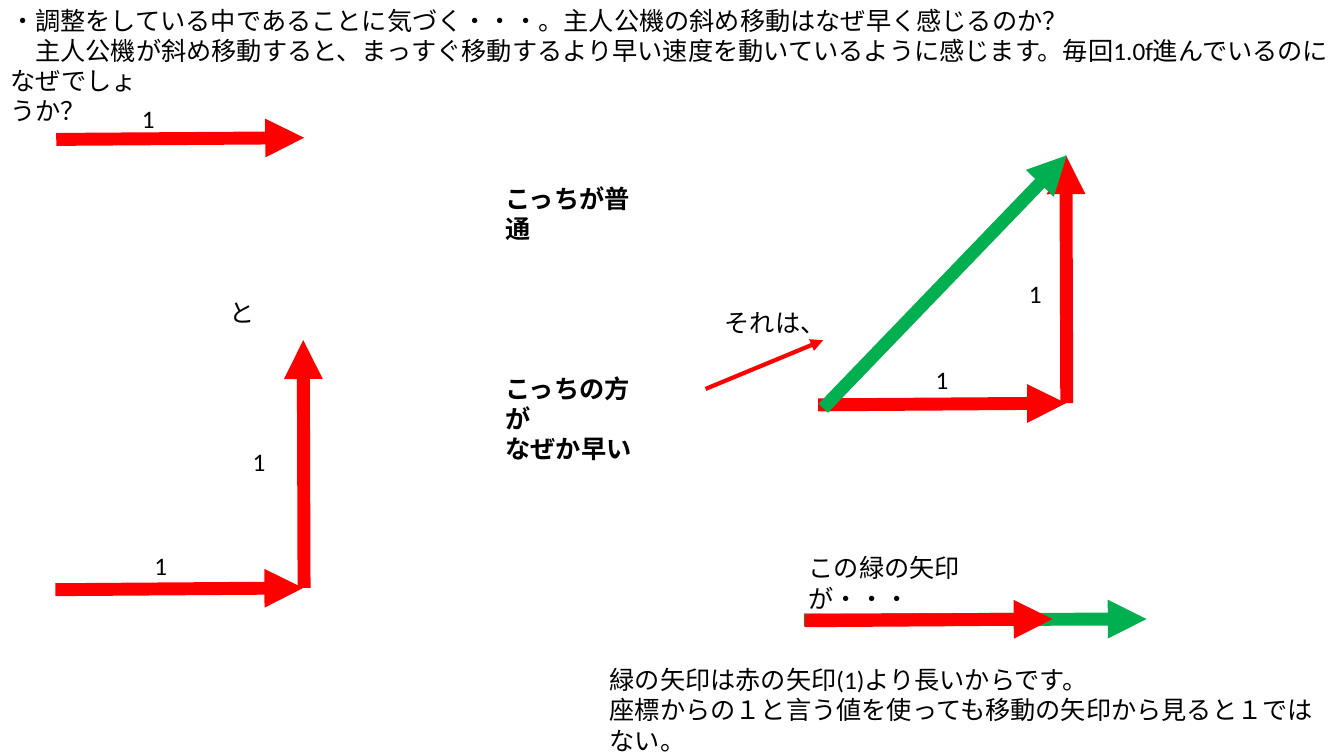
"""Slide on why diagonal movement feels faster than straight movement."""
import dataclasses

import lxml.etree
import pptx
import pptx.dml.color
import pptx.enum.shapes
import pptx.enum.text
import pptx.oxml.ns
import pptx.util


@dataclasses.dataclass(frozen=True)
class Theme:
    """Colours, font and sizes of the slide."""
    font: str = "Calibri"
    size: float = 18
    ink: str = "000000"
    red: str = "FF0000"
    green: str = "00B050"
    thick: float = 9.25
    thin: float = 3


class Board:
    """A slide on a grid of 160 columns and 90 rows."""

    def __init__(self, deck, theme):
        """Add the slide and measure one grid cell."""
        self.theme = theme
        self.slide = deck.slides.add_slide(deck.slide_layouts[5])
        self.col = deck.slide_width / 160
        self.row = deck.slide_height / 90

    def spot(self, x, y):
        """Turn a column and row into slide lengths."""
        return round(x * self.col), round(y * self.row)

    def label(self, shape, lines, bold=False):
        """Fill a shape with plain left-aligned lines."""
        frame = shape.text_frame
        frame.text = "\n".join(lines)
        frame.word_wrap = True
        frame.auto_size = pptx.enum.text.MSO_AUTO_SIZE.SHAPE_TO_FIT_TEXT
        frame.vertical_anchor = pptx.enum.text.MSO_ANCHOR.TOP
        for para in frame.paragraphs:
            para.alignment = pptx.enum.text.PP_ALIGN.LEFT
            font = para.font
            font.name = self.theme.font
            font.size = pptx.util.Pt(self.theme.size)
            font.bold = bold
            font.color.rgb = pptx.dml.color.RGBColor.from_string(self.theme.ink)

    def title(self, x, y, wide, high, *lines):
        """Place and fill the title."""
        shape = self.slide.shapes.title
        shape.left, shape.top = self.spot(x, y)
        shape.width, shape.height = self.spot(wide, high)
        self.label(shape, lines)

    def text(self, x, y, wide, *lines, bold=False):
        """Add a text box sized by its number of lines."""
        high = 1.2 + 3.6 * len(lines)
        shape = self.slide.shapes.add_textbox(*self.spot(x, y), *self.spot(wide, high))
        self.label(shape, lines, bold)

    def arrow(self, start, end, color, width):
        """Add an arrow between two grid points."""
        line = self.slide.shapes.add_connector(
            pptx.enum.shapes.MSO_CONNECTOR.STRAIGHT, *self.spot(*start), *self.spot(*end))
        line.line.color.rgb = pptx.dml.color.RGBColor.from_string(color)
        line.line.width = pptx.util.Pt(width)
        name = pptx.oxml.ns.qn
        props = line._element.spPr
        lxml.etree.SubElement(props.get_or_add_ln(), name("a:tailEnd"), type="triangle")
        lxml.etree.SubElement(props, name("a:effectLst"))

    def step(self, x, y):
        """Add one unit arrow to the right."""
        self.arrow((x, y), (x + 29.5, y - 0.2), self.theme.red, self.theme.thick)

    def legs(self, x, y):
        """Add a unit arrow to the right and one upwards."""
        self.step(x, y)
        self.arrow((x + 29.6, y - 0.2), (x + 29.5, y - 29.7), self.theme.red, self.theme.thick)


def main():
    """Build and save the slide."""
    deck = pptx.Presentation()
    deck.slide_width = pptx.util.Inches(13.33)
    deck.slide_height = pptx.util.Inches(7.5)
    theme = Theme()
    board = Board(deck, theme)

    board.title(
        0, 0, 161.5, 12.1,
        "・調整をしている中であることに気づく・・・。主人公機の斜め移動はなぜ早く感じるのか？",
        "　主人公機が斜め移動すると、まっすぐ移動するより早い速度を動いているように感じます。"
        "毎回1.0f進んでいるのになぜでしょ",
        "うか？")

    board.step(6.7, 16.6)
    for x, y in ((6.6, 70.2), (97.4, 48.2)):
        board.legs(x, y)
    board.arrow((84, 46.3), (98, 40.5), theme.red, theme.thin)
    board.arrow((98, 48.6), (127, 18.5), theme.green, theme.thick)
    board.arrow((95.7, 73.8), (136.5, 73.7), theme.green, theme.thick)
    board.step(95.8, 73.9)

    for x, y in ((15.7, 11.7), (17.2, 64.9), (28.9, 52.6), (110.2, 42.8), (121.3, 32.6)):
        board.text(x, y, 4, "1")

    board.text(26.2, 34.8, 4.7, "と")
    board.text(59, 21.2, 19.1, "こっちが普通", bold=True)
    board.text(59, 43.8, 19.1, "こっちの方が", "なぜか早い", bold=True)
    board.text(85.1, 36, 13.4, "それは、")
    board.text(95.1, 65.2, 27.6, "この緑の矢印が・・・")
    board.text(
        71.4, 78.5, 86.8,
        "緑の矢印は赤の矢印(1)より長いからです。",
        "座標からの１と言う値を使っても移動の矢印から見ると１ではない。")

    deck.save("out.pptx")


if __name__ == "__main__":
    main()
